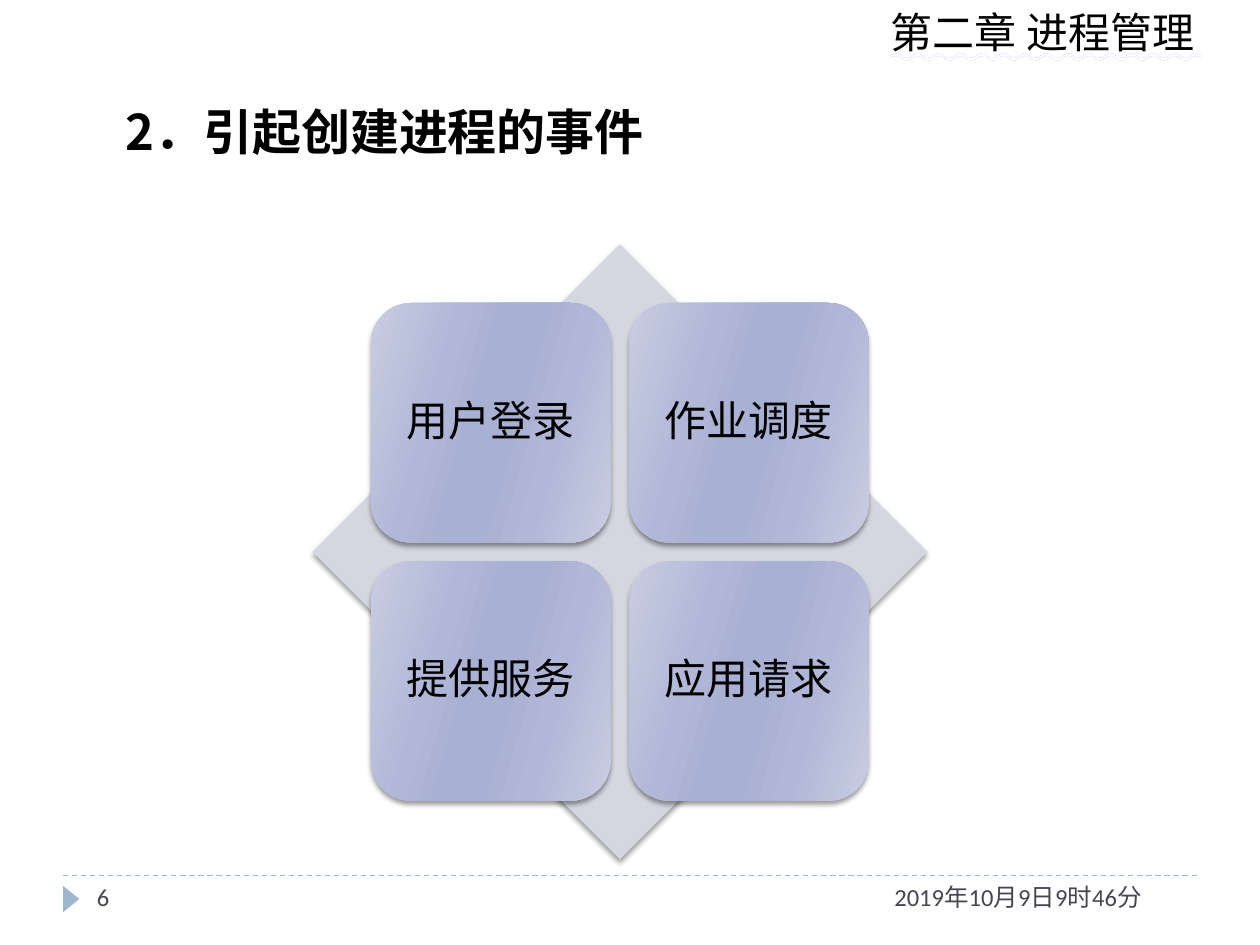
from lxml.etree import SubElement
from pptx import Presentation
from pptx.dml.color import RGBColor
from pptx.enum.dml import MSO_LINE
from pptx.enum.shapes import MSO_CONNECTOR, MSO_SHAPE
from pptx.enum.text import MSO_ANCHOR, MSO_AUTO_SIZE, MSO_UNDERLINE, PP_ALIGN
from pptx.oxml import parse_xml
from pptx.oxml.ns import nsdecls, qn
from pptx.util import Inches, Pt

BLACK, SLATE, STEEL = "000000", "464653", "9FB8CD"
TILE_STOPS = [(0, "C9CDE2"), (30, "B1B7D7"), (45, "A8B0D3"),
              (55, "A8B0D3"), (73, "B1B7D7"), (100, "C9CDE2")]
EVENTS = ["用户登录", "作业调度", "提供服务", "应用请求"]


def rgb(color):
    """Turn a hex string into a colour."""
    return RGBColor.from_string(color)


def write_text(shape, text, size=14, color=SLATE, font="Calibri", bold=False,
               align=PP_ALIGN.LEFT, anchor=MSO_ANCHOR.TOP, wrap=True):
    """Write one formatted run into a shape and return the run."""
    frame = shape.text_frame
    frame.word_wrap = wrap
    frame.vertical_anchor = anchor
    paragraph = frame.paragraphs[0]
    paragraph.alignment = align
    run = paragraph.add_run()
    run.text = text
    run.font.size = Pt(size)
    run.font.bold = bold
    run.font.name = font
    run.font.color.rgb = rgb(color)
    SubElement(run.font._element, qn("a:ea")).set("typeface", font)
    return run


def add_text(slide, box, text, **text_format):
    """Add a text box and return its run."""
    shape = slide.shapes.add_textbox(*map(Inches, box))
    return write_text(shape, text, **text_format)


def add_filled(slide, kind, box, color):
    """Add a preset shape with a plain fill and neither line nor shadow."""
    shape = slide.shapes.add_shape(kind, *map(Inches, box))
    shape.shadow.inherit = False
    shape.fill.solid()
    shape.fill.fore_color.rgb = rgb(color)
    shape.line.fill.background()
    return shape


def set_shadow(shape):
    """Give a shape a soft shadow straight below it."""
    properties = shape._element.spPr
    properties.remove(properties.find(qn("a:effectLst")))
    properties.append(parse_xml(
        f'<a:effectLst {nsdecls("a")}><a:outerShdw blurRad="{Pt(3)}" dist="{Pt(2)}" '
        'dir="5400000" rotWithShape="0"><a:srgbClr val="000000">'
        '<a:alpha val="40000"/></a:srgbClr></a:outerShdw></a:effectLst>'))


def set_gradient(shape, stops, angle):
    """Replace the plain fill of a shape by a linear gradient."""
    properties = shape._element.spPr
    stop_xml = "".join(f'<a:gs pos="{position * 1000}"><a:srgbClr val="{color}"/></a:gs>'
                       for position, color in stops)
    gradient = parse_xml(
        f'<a:gradFill {nsdecls("a")} rotWithShape="1"><a:gsLst>{stop_xml}</a:gsLst>'
        f'<a:lin ang="{angle * 60000}" scaled="0"/></a:gradFill>')
    properties.replace(properties.find(qn("a:solidFill")), gradient)


def add_header(slide, box):
    """Add the underlined chapter name."""
    run = add_text(slide, box, "第二章 进程管理", size=24, color=BLACK, wrap=False)
    run.font.underline = MSO_UNDERLINE.WAVY_DOUBLE_LINE
    run.font._element.find(qn("a:solidFill")).addnext(parse_xml(
        f'<a:uFill {nsdecls("a")}><a:solidFill><a:srgbClr val="CC99FF"/>'
        '</a:solidFill></a:uFill>'))


def add_title(slide, box):
    """Add the section title."""
    add_text(slide, box, "\u30002．引起创建进程的事件".replace("\u3000", "　"), size=28,
             color=BLACK, font="Noto Sans CJK SC", bold=True)


def add_matrix(slide, box, events):
    """Add a diamond with a two by two grid of tiles centred on it."""
    left, top, width, height = box
    set_shadow(add_filled(slide, MSO_SHAPE.DIAMOND, box, "D5D7E0"))
    tile, gap = 1.9, 0.15
    pitch = tile + gap
    first_left = left + (width - pitch - tile) / 2
    first_top = top + (height - pitch - tile) / 2
    for index, event in enumerate(events):
        row, column = divmod(index, 2)
        shape = add_filled(slide, MSO_SHAPE.ROUNDED_RECTANGLE,
                           (first_left + column * pitch, first_top + row * pitch, tile, tile),
                           TILE_STOPS[0][1])
        set_gradient(shape, TILE_STOPS, 16)
        set_shadow(shape)
        write_text(shape, event, size=24, color=BLACK, align=PP_ALIGN.CENTER,
                   anchor=MSO_ANCHOR.MIDDLE)
        shape.text_frame.paragraphs[0].line_spacing = 0.9


def add_footer(slide, box):
    """Add the dashed rule, the marker, the slide number and the date."""
    left, top, width, height = box
    rule = slide.shapes.add_connector(MSO_CONNECTOR.STRAIGHT, Inches(left), Inches(top),
                                      Inches(left + width), Inches(top))
    rule.line.color.rgb = rgb(STEEL)
    rule.line.width = Pt(0.75)
    rule.line.dash_style = MSO_LINE.DASH
    SubElement(rule._element.spPr, qn("a:effectLst"))
    marker = add_filled(slide, MSO_SHAPE.ISOSCELES_TRIANGLE,
                        (left - 0.04, top + 0.12, 0.21, 0.13), STEEL)
    marker.rotation = 90
    add_text(slide, (left + width - 2.5, top, 2.5, height), "2019年10月9日9时46分")
    add_text(slide, (left + 0.17, top, 2.17, height), "6")


def main():
    """Build the slide and save it."""
    presentation = Presentation()
    presentation.slide_width, presentation.slide_height = Inches(10), Inches(7.5)
    slide = presentation.slides.add_slide(presentation.slide_layouts[6])
    add_footer(slide, (0.5, 6.95, 9, 0.4))
    add_header(slide, (6.97, 0, 2.66, 0.5))
    add_title(slide, (0.51, 0.76, 8.98, 0.87))
    add_matrix(slide, (2.48, 1.94, 4.88, 4.88), EVENTS)
    presentation.save("out.pptx")


if __name__ == "__main__":
    main()
